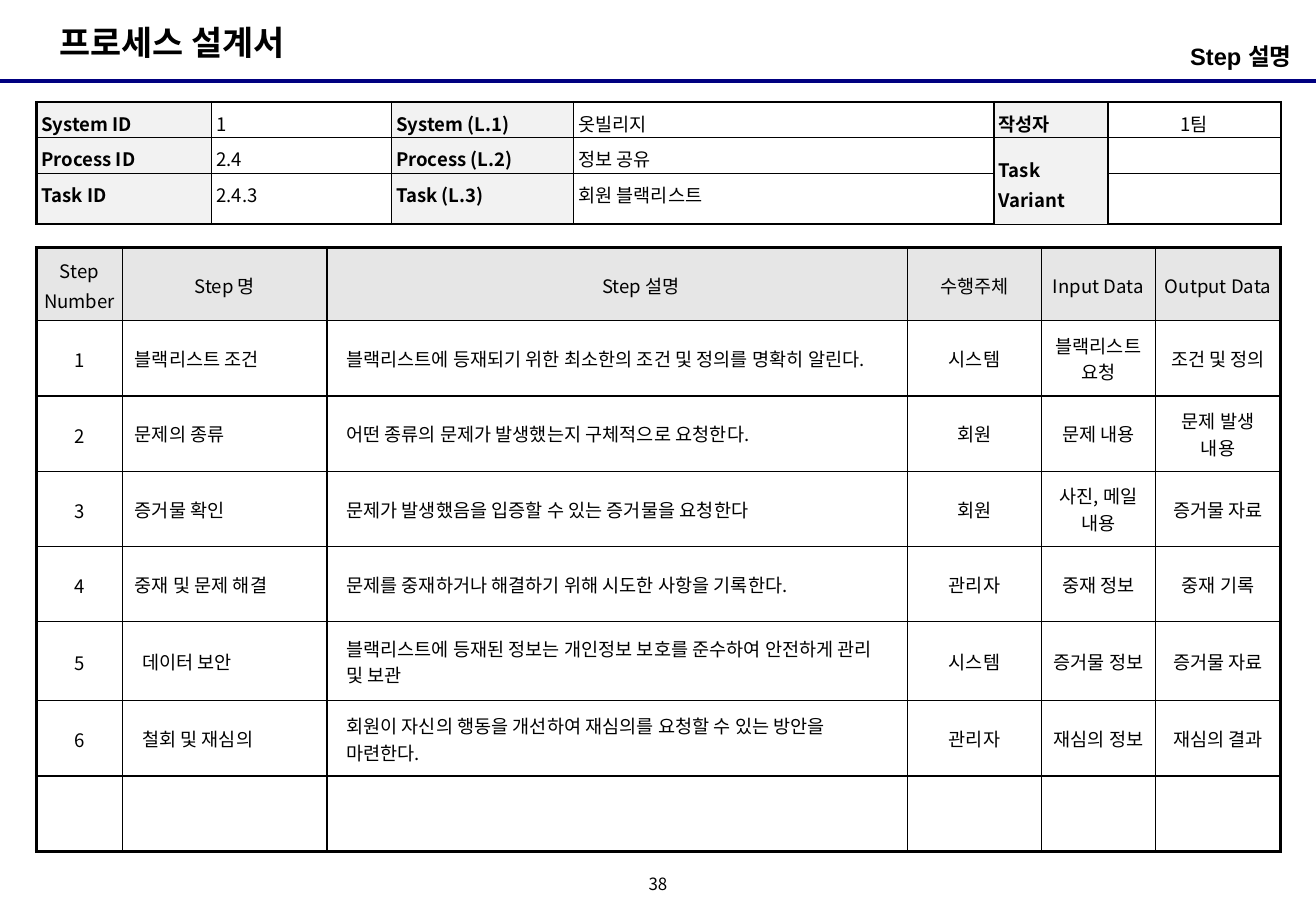
"""Build the process design sheet that explains each step of the blacklist task."""
from dataclasses import dataclass, replace

from pptx import Presentation
from pptx.dml.color import RGBColor
from pptx.enum.shapes import MSO_CONNECTOR
from pptx.enum.text import MSO_ANCHOR, MSO_AUTO_SIZE, PP_ALIGN
from pptx.oxml.ns import qn
from pptx.util import Inches, Pt
from lxml import etree

LEFT, MID, RIGHT = PP_ALIGN.LEFT, PP_ALIGN.CENTER, PP_ALIGN.RIGHT
TOP, CENTER = MSO_ANCHOR.TOP, MSO_ANCHOR.MIDDLE
FIXED = MSO_AUTO_SIZE.NONE
LINE = MSO_CONNECTOR.STRAIGHT
UNIT = Inches(0.01)
COLS, ROWS = 1083, 750


@dataclass(frozen=True)
class Theme:
    ink: str = "000000"
    rule: str = "000080"
    paper: str = "FFFFFF"
    label: str = "F2F2F2"
    head: str = "E6E6E6"
    sans: str = "Arial"
    hangul: str = "Noto Sans CJK KR"
    title: float = 20
    topic: float = 14
    cell: float = 11
    page: float = 10


@dataclass(frozen=True)
class Box:
    x: int
    y: int
    w: int
    h: int


@dataclass(frozen=True)
class Run:
    text: str
    font: str


@dataclass(frozen=True)
class Look:
    size: float
    bold: bool = False
    align: PP_ALIGN = LEFT
    anchor: MSO_ANCHOR = CENTER
    inset: tuple[int, int, int, int] = (6, 4, 6, 4)
    pad: int = 0
    space: float = 1.0
    wrap: bool = True
    fill: str = "FFFFFF"


@dataclass(frozen=True)
class Cell:
    runs: tuple[Run, ...]
    look: Look


@dataclass(frozen=True)
class Step:
    name: str
    start: str
    end: str
    actor: str
    input: str
    output: str
    pad: int = 4


THEME = Theme()
FACTS = [
    ["System ID", "1", "System (L.1)", "옷빌리지", "작성자", "1팀"],
    ["Process ID", "2.4", "Process (L.2)", "정보 공유", "Task Variant", ""],
    ["Task ID", "2.4.3", "Task (L.3)", "회원 블랙리스트", "", ""],
]
HEADS = ["Step Number", "Step 명", "Step 설명", "수행주체", "Input Data", "Output Data"]
STEPS = [
    Step("블랙리스트 조건", "블랙리스트에 등재되기 위한 최소한의 조건 및 정의를 명확히 ", "알린다.",
         "시스템", "블랙리스트 요청", "조건 및 정의"),
    Step("문제의 종류", "어떤 종류의 문제가 발생했는지 구체적으로 ", "요청한다.",
         "회원", "문제 내용", "문제 발생 내용"),
    Step("증거물 확인", "문제가 발생했음을 입증할 수 있는 증거물을 ", "요청한다",
         "회원", "사진, 메일 내용", "증거물 자료"),
    Step("중재 및 문제 해결", "문제를 중재하거나 해결하기 위해 시도한 사항을 기록", "한다.",
         "관리자", "중재 정보", "중재 기록"),
    Step("데이터 보안", "블랙리스트에 등재된 정보는 개인정보 보호를 준수하여 안전하게 관리", " 및 보관",
         "시스템", "증거물 정보", "증거물 자료", 10),
    Step("철회 및 재심의", "회원이 자신의 행동을 개선하여 재심의를 요청할 수 있는 방안을 마련", "한다.",
         "관리자", "재심의 정보", "재심의 결과", 10),
]


def plain(text: str) -> tuple[Run, ...]:
    return (Run(text, THEME.hangul),) if text else ()


def write(frame, runs: tuple[Run, ...], look: Look) -> None:
    para = frame.paragraphs[0]
    props = para._p.get_or_add_pPr()
    props.set("marL", str(look.pad * UNIT))
    props.set("indent", "0")
    etree.SubElement(props, qn("a:buNone"))
    para.alignment = look.align
    para.line_spacing = look.space
    para.space_before = Pt(0)
    for item in runs:
        run = para.add_run()
        run.text = item.text
        font = run.font
        font.size, font.bold, font.name = Pt(look.size), look.bold, item.font
        font.color.rgb = RGBColor.from_string(THEME.ink)
        east = etree.SubElement(run._r.get_or_add_rPr(), qn("a:ea"))
        east.set("typeface", THEME.hangul)
    if not runs:
        end = etree.SubElement(para._p, qn("a:endParaRPr"))
        end.set("sz", str(int(look.size * 100)))


def place(shape, box: Box, text: str, font: str, look: Look) -> None:
    shape.left, shape.top = box.x * UNIT, box.y * UNIT
    shape.width, shape.height = box.w * UNIT, box.h * UNIT
    frame = shape.text_frame
    frame.auto_size, frame.word_wrap = FIXED, look.wrap
    frame.vertical_anchor = look.anchor
    (frame.margin_left, frame.margin_top,
     frame.margin_right, frame.margin_bottom) = (n * UNIT for n in look.inset)
    write(frame, (Run(text, font),), look)


def edge(cell, side: str, width: float) -> None:
    line = etree.SubElement(cell._tc.get_or_add_tcPr(), qn(f"a:ln{side}"))
    line.set("w", str(Pt(width)))
    fill = etree.SubElement(line, qn("a:solidFill"))
    etree.SubElement(fill, qn("a:srgbClr")).set("val", THEME.ink)


def draw(slide, box: Box, cols: list[int], rows: list[int],
         cells: list[list[Cell]], frame: float):
    table = slide.shapes.add_table(
        len(rows), len(cols), *(n * UNIT for n in (box.x, box.y, box.w, box.h))).table
    table.first_row = table.horz_banding = False
    for col, width in zip(table.columns, cols):
        col.width = width * UNIT
    for row, height in zip(table.rows, rows):
        row.height = height * UNIT
    for r, line in enumerate(cells):
        for c, item in enumerate(line):
            cell, look = table.cell(r, c), item.look
            outer = {"L": c == 0, "R": c == len(cols) - 1,
                     "T": r == 0, "B": r == len(rows) - 1}
            for side, rim in outer.items():
                edge(cell, side, frame if rim else 1)
            cell.fill.solid()
            cell.fill.fore_color.rgb = RGBColor.from_string(look.fill)
            cell.vertical_anchor = look.anchor
            (cell.margin_left, cell.margin_top,
             cell.margin_right, cell.margin_bottom) = (n * UNIT for n in look.inset)
            write(cell.text_frame, item.runs, look)
    return table


def facts() -> list[list[Cell]]:
    base = Look(THEME.cell, anchor=TOP, inset=(4, 4, 4, 1), space=1.1)
    name = replace(base, bold=True, fill=THEME.label)
    mid = replace(base, anchor=CENTER, align=MID)
    looks = [name, base, name, base, replace(name, anchor=CENTER), mid]
    return [[Cell(plain(t), k) for t, k in zip(row, looks)] for row in FACTS]


def steps() -> list[list[Cell]]:
    mid = Look(THEME.cell, align=MID)
    num = replace(mid, space=1.1, inset=(4, 4, 4, 4))
    head = replace(num, fill=THEME.head)
    note = Look(THEME.cell, pad=10, inset=(6, 4, 12, 4))
    grid = [[Cell(plain(t), replace(head, pad=39 if c == 2 else 0))
             for c, t in enumerate(HEADS)]]
    for n, step in enumerate(STEPS, 1):
        story = (Run(step.start, THEME.sans), Run(step.end, THEME.hangul))
        last = [Cell(plain(t), mid) for t in (step.actor, step.input, step.output)]
        grid.append([Cell(plain(str(n)), num),
                     Cell(plain(step.name), replace(note, pad=step.pad)),
                     Cell(story, note), *last])
    return grid + [[Cell((), mid)] * len(HEADS)]


def main() -> None:
    deck = Presentation()
    deck.slide_width, deck.slide_height = COLS * UNIT, ROWS * UNIT
    slide = deck.slides.add_slide(deck.slide_layouts[1])
    rule = slide.shapes.add_connector(LINE, 0, 67 * UNIT, COLS * UNIT, 67 * UNIT)
    rule.line.color.rgb = RGBColor.from_string(THEME.rule)
    rule.line.width = Pt(2.25)
    etree.SubElement(rule._element.spPr, qn("a:effectLst"))
    place(slide.shapes.title, Box(39, 13, 226, 44), "프로세스 설계서", THEME.hangul,
          Look(THEME.title, bold=True, inset=(10, 5, 10, 5), wrap=False))
    place(slide.placeholders[1], Box(739, 27, 324, 39), "Step 설명", THEME.sans,
          Look(THEME.topic, bold=True, align=RIGHT, inset=(0, 5, 0, 5)))
    place(slide.shapes.add_textbox(0, 0, 0, 0), Box(525, 717, 33, 25), "38", THEME.hangul,
          Look(THEME.page, align=MID, inset=(0, 0, 0, 0), space=0.8, wrap=False))
    table = draw(slide, Box(30, 84, 1024, 99), [144, 148, 150, 346, 94, 142],
                 [29, 28, 42], facts(), 1.5)
    table.cell(1, 4).merge(table.cell(2, 4))
    draw(slide, Box(30, 204, 1024, 497), [71, 168, 478, 110, 94, 103],
         [60, 62, 62, 62, 62, 65, 62, 62], steps(), 2.25)
    deck.save("out.pptx")


if __name__ == "__main__":
    main()
